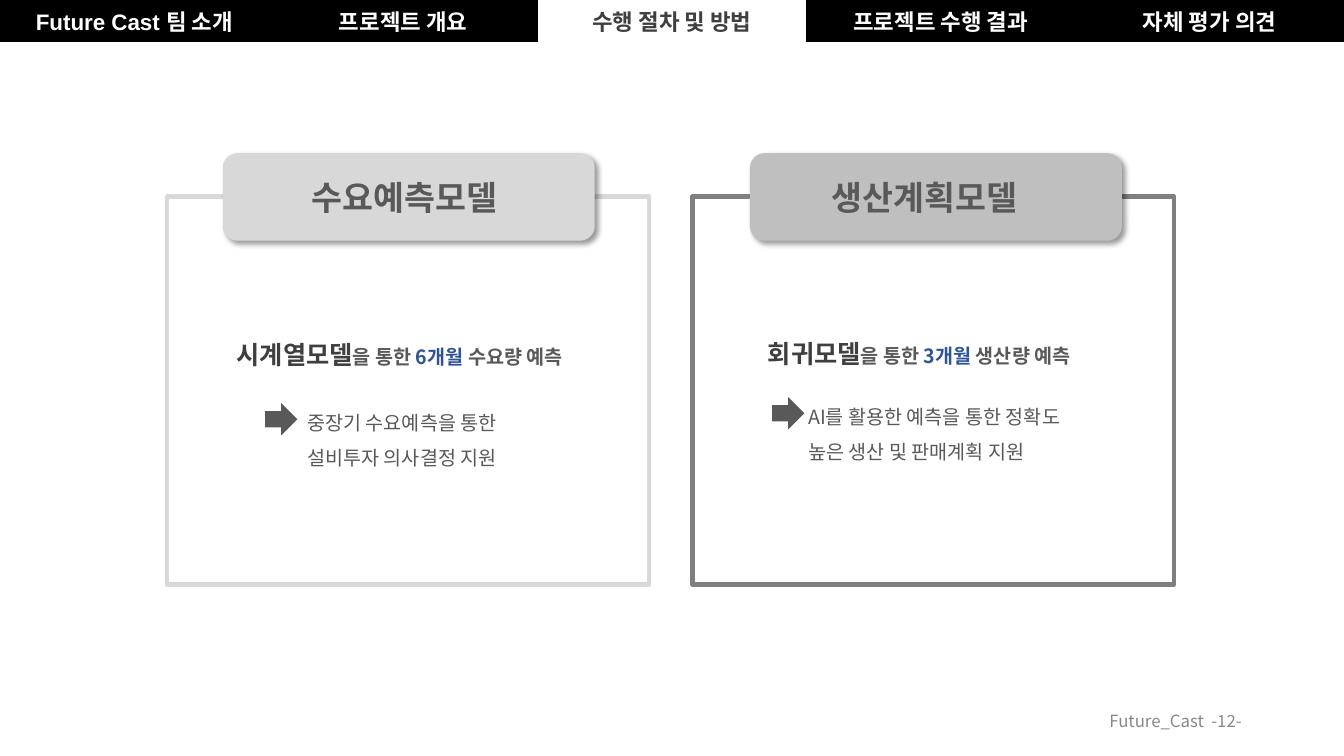
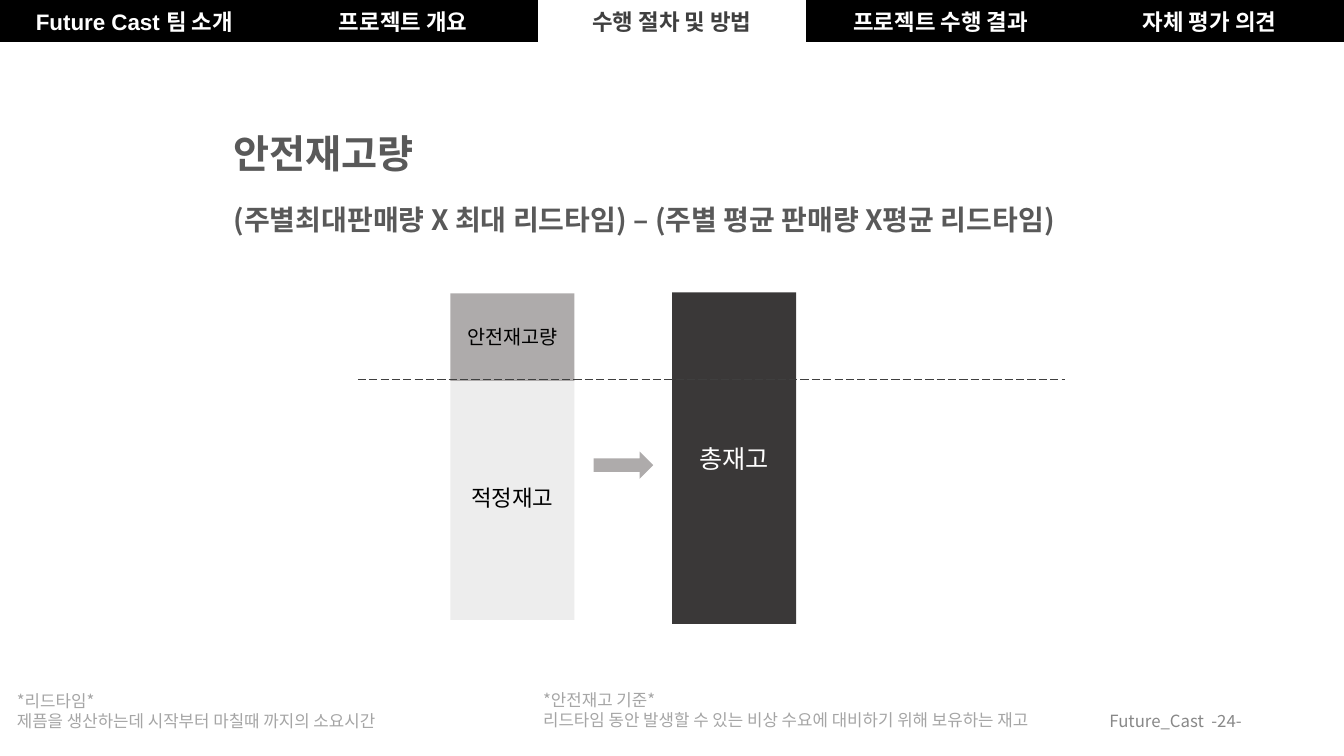
from lxml import etree
from pptx import Presentation
from pptx.dml.color import RGBColor
from pptx.enum.dml import MSO_LINE
from pptx.enum.shapes import MSO_CONNECTOR, MSO_SHAPE
from pptx.enum.text import MSO_ANCHOR, MSO_AUTO_SIZE, PP_ALIGN
from pptx.oxml.ns import qn
from pptx.util import Pt

RECTANGLE, ROUNDED = MSO_SHAPE.RECTANGLE, MSO_SHAPE.ROUNDED_RECTANGLE
RIGHT_ARROW = MSO_SHAPE.RIGHT_ARROW
STRAIGHT, LONG_DASH = MSO_CONNECTOR.STRAIGHT, MSO_LINE.LONG_DASH
TOP, MIDDLE = MSO_ANCHOR.TOP, MSO_ANCHOR.MIDDLE
LEFT, CENTER, RIGHT = PP_ALIGN.LEFT, PP_ALIGN.CENTER, PP_ALIGN.RIGHT

WIDTH, HEIGHT = 960, 540
TITLE_ONLY, BLANK = 5, 6
FONT, TAB_FONT = "Noto Sans CJK KR", "Arial"
BLACK, WHITE = "000000", "FFFFFF"
DARK, TEXT, BLUE = "3F3F3F", "595959", "2F5496"
FOOTER, NOTE, MID_GREY = "888888", "A5A5A5", "AEABAB"
PLAIN_TABLE = "{2D5ABB26-0587-4C30-8999-92F81FD0307C}"

TABS = ["Future Cast 팀 소개", "프로젝트 개요", "수행 절차 및 방법", "프로젝트 수행 결과", "자체 평가 의견"]
ACTIVE_TAB = 2
TAB_HEIGHT = 26.4

CARD_TOP, CARD_WIDTH, CARD_HEIGHT = 140.4, 344.2, 277.2
CARDS = [
    {
        "left": 119.5, "line": "D8D8D8",
        "label": "수요예측모델", "label_left": 159.1, "label_fill": "D8D8D8", "label_indent": 60.5,
        "method": ("시계열모델", "을 통한 ", "6개월 ", "수요량 예측"), "method_box": (162, 239, 296.6, 29),
        "goal": "중장기 수요예측을 통한 설비투자 의사결정 지원", "goal_box": (212.4, 281.5, 197.3, 54.7),
        "arrow": (189.4, 288),
    },
    {
        "left": 494.6, "line": "7F7F7F",
        "label": "생산계획모델", "label_left": 535.7, "label_fill": "BFBFBF", "label_indent": 55.5,
        "method": ("회귀모델", "을 통한 ", "3개월 ", "생산량 예측"), "method_box": (541.4, 238, 254.2, 29),
        "goal": "AI를 활용한 예측을 통한 정확도 높은 생산 및 판매계획 지원", "goal_box": (570.2, 277.2, 216, 54.7),
        "arrow": (551.5, 283.7),
    },
]
METHOD_STYLE = [(18, DARK), (14, TEXT), (14, BLUE), (14, TEXT)]

STOCK_TITLE = "안전재고량"
FORMULA = "(주별최대판매량 X 최대 리드타임) – (주별 평균 판매량 X평균 리드타임)"
BAR_WIDTH = 88.6
BARS = [
    ("적정재고", 321.8, 268.6, 174.2, "EDEDED", 16, BLACK),
    ("총재고", 480.2, 208.8, 236.9, "3A3838", 18, WHITE),
    ("안전재고량", 321.8, 209.5, 62.6, MID_GREY, 14, BLACK),
]
NOTES = [
    (380.9, 488.9, ["*안전재고 기준*", "리드타임 동안 발생할 수 있는 비상 수요에 대비하기 위해 보유하는 재고"]),
    (5, 489.6, ["*리드타임*", "제픔을 생산하는데 시작부터 마칠때 까지의 소요시간"]),
]


def color(value):
    return RGBColor.from_string(value)


def points(*values):
    return [Pt(value) for value in values]


def add_run(paragraph, text, size, hex_color, bold=False, font=FONT):
    run = paragraph.add_run()
    run.text = text
    run.font.size = Pt(size)
    run.font.bold = bold
    run.font.name = font
    run.font.color.rgb = color(hex_color)
    etree.SubElement(run.font._element, qn("a:ea"), typeface=FONT)


def write(shape, paragraphs, align=LEFT, anchor=TOP, spacing=None):
    frame = shape.text_frame
    frame.word_wrap = True
    frame.auto_size = MSO_AUTO_SIZE.NONE
    frame.vertical_anchor = anchor
    for index, runs in enumerate(paragraphs):
        paragraph = frame.add_paragraph() if index else frame.paragraphs[0]
        paragraph.alignment = align
        if spacing:
            paragraph.line_spacing = spacing
        for run in runs:
            add_run(paragraph, *run)


def add_text(slide, box, paragraphs, **options):
    write(slide.shapes.add_textbox(*points(*box)), paragraphs, **options)


def add_box(slide, kind, box, fill=None, line=None):
    shape = slide.shapes.add_shape(kind, *points(*box))
    shape.shadow.inherit = False
    if fill:
        shape.fill.solid()
        shape.fill.fore_color.rgb = color(fill)
    else:
        shape.fill.background()
    if line:
        shape.line.color.rgb = color(line)
        shape.line.width = Pt(3)
    else:
        shape.line.fill.background()
    return shape


def add_soft_shadow(shape):
    effects = shape.element.spPr.find(qn("a:effectLst"))
    shadow = etree.SubElement(effects, qn("a:outerShdw"), blurRad=str(Pt(4)), dist=str(Pt(3)),
                              dir="2700000", algn="tl", rotWithShape="0")
    shade = etree.SubElement(shadow, qn("a:srgbClr"), val=BLACK)
    etree.SubElement(shade, qn("a:alpha"), val="40000")


def add_frame(slide, number):
    frame = slide.shapes.add_table(1, len(TABS), *points(0, 0, WIDTH, TAB_HEIGHT))
    table = frame.table
    table.first_row = table.horz_banding = False
    next(frame.element.iter(qn("a:tableStyleId"))).text = PLAIN_TABLE
    table.rows[0].height = Pt(TAB_HEIGHT)
    for index, label in enumerate(TABS):
        table.columns[index].width = Pt(WIDTH / len(TABS))
        cell = table.cell(0, index)
        active = index == ACTIVE_TAB
        cell.fill.solid()
        cell.fill.fore_color.rgb = color(WHITE if active else BLACK)
        paragraph = cell.text_frame.paragraphs[0]
        paragraph.alignment = CENTER
        add_run(paragraph, label, 16, DARK if active else WHITE, True, TAB_FONT)
    add_text(slide, (678.2, 500.4, 216, 28.8), [[(f"Future_Cast  -{number}-", 12, FOOTER)]],
             align=RIGHT, anchor=MIDDLE)


def build_models(presentation):
    slide = presentation.slides.add_slide(presentation.slide_layouts[BLANK])
    for card in CARDS:
        add_box(slide, RECTANGLE, (card["left"], CARD_TOP, CARD_WIDTH, CARD_HEIGHT), line=card["line"])
        label = add_box(slide, ROUNDED, (card["label_left"], 109.4, 265.7, 62.6), card["label_fill"])
        add_soft_shadow(label)
        label.text_frame.margin_left = Pt(card["label_indent"])
        write(label, [[(card["label"], 24, TEXT, True)]], anchor=MIDDLE)
        method = [(text, *style, True) for text, style in zip(card["method"], METHOD_STYLE)]
        add_text(slide, card["method_box"], [method])
        add_text(slide, card["goal_box"], [[(card["goal"], 14, TEXT)]], spacing=1.5)
        add_box(slide, RIGHT_ARROW, (*card["arrow"], 23, 23), TEXT)
    add_frame(slide, 12)


def build_stock(presentation):
    slide = presentation.slides.add_slide(presentation.slide_layouts[TITLE_ONLY])
    title = slide.shapes.title
    title.left, title.top, title.width, title.height = points(159.8, 88.6, 240, 41)
    write(title, [[(STOCK_TITLE, 28, TEXT, True)]])
    add_text(slide, (159.8, 141.1, 784.8, 31.7), [[(FORMULA, 20, TEXT, True)]])
    for label, left, top, height, fill, size, text_color in BARS:
        bar = add_box(slide, RECTANGLE, (left, top, BAR_WIDTH, height), fill)
        write(bar, [[(label, size, text_color)]], align=CENTER, anchor=MIDDLE)
    level = slide.shapes.add_connector(STRAIGHT, *points(255.6, 271.2, 761, 271.2))
    level.line.color.rgb = color(DARK)
    level.line.width = Pt(0.75)
    level.line.dash_style = LONG_DASH
    etree.SubElement(level.element.spPr, qn("a:effectLst"))
    add_box(slide, RIGHT_ARROW, (424.1, 322.6, 42.5, 19.4), MID_GREY)
    for left, top, lines in NOTES:
        add_text(slide, (left, top, 405.4, 50), [[(line, 12, NOTE)] for line in lines])
    add_frame(slide, 24)


def main():
    presentation = Presentation()
    presentation.slide_width, presentation.slide_height = points(WIDTH, HEIGHT)
    build_models(presentation)
    build_stock(presentation)
    presentation.save("out.pptx")


if __name__ == "__main__":
    main()
